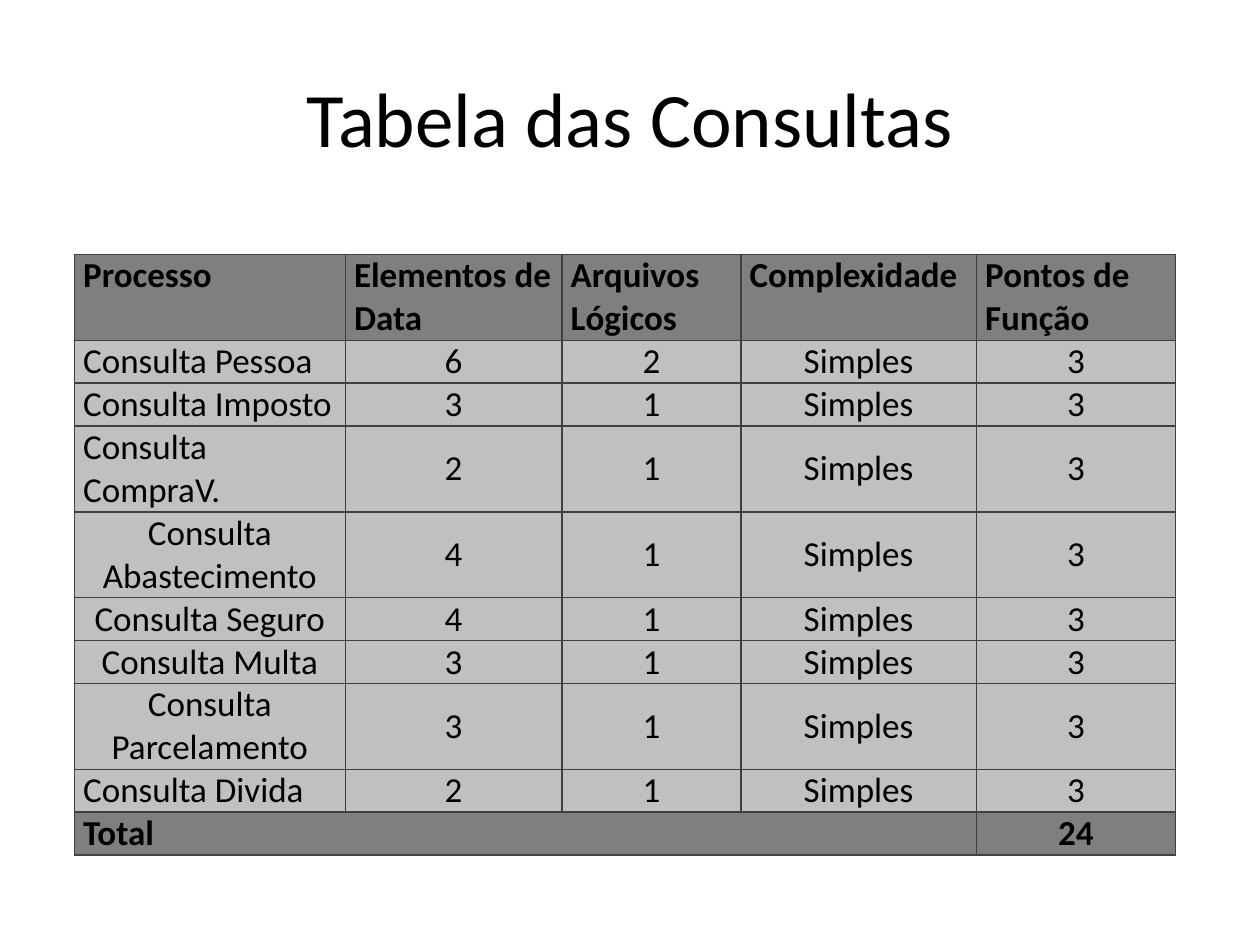
from lxml import etree
from pptx import Presentation
from pptx.dml.color import RGBColor
from pptx.enum.text import MSO_ANCHOR, PP_ALIGN
from pptx.oxml.ns import qn
from pptx.util import Inches, Pt

LEFT, CENTER = PP_ALIGN.LEFT, PP_ALIGN.CENTER
TOP, MIDDLE = MSO_ANCHOR.TOP, MSO_ANCHOR.MIDDLE

BLACK = RGBColor(0x00, 0x00, 0x00)
DARK_GRAY = RGBColor(0x7F, 0x7F, 0x7F)
LIGHT_GRAY = RGBColor(0xC0, 0xC0, 0xC0)
BORDER_GRAY = RGBColor(0x40, 0x40, 0x40)

FONT = "Calibri"
TITLE = "Tabela das Consultas"
HEADERS = ["Processo", "Elementos de Data", "Arquivos Lógicos",
           "Complexidade", "Pontos de Função"]
# Process, data elements, logical files, alignment of the process name
QUERIES = [
    ("Consulta Pessoa", 6, 2, LEFT),
    ("Consulta Imposto", 3, 1, LEFT),
    ("Consulta CompraV.", 2, 1, LEFT),
    ("Consulta Abastecimento", 4, 1, CENTER),
    ("Consulta Seguro", 4, 1, CENTER),
    ("Consulta Multa", 3, 1, CENTER),
    ("Consulta Parcelamento", 3, 1, CENTER),
    ("Consulta Divida", 2, 1, LEFT),
]
COMPLEXITY = "Simples"
POINTS = 3

COLUMN_WIDTHS = [2.15, 1.72, 1.42, 1.87, 1.58]
LINE_HEIGHT = 0.31
TALL_HEIGHT = 0.63
TALL_ROWS = {0, 3, 4, 7}
CELL_MARGINS = {"margin_left": Inches(0.07), "margin_right": Inches(0.07),
                "margin_top": 0, "margin_bottom": 0}


def write_text(para, text, size, align, bold=False):
    para.alignment = align
    span = para.add_run()
    span.text = text
    span.font.color.rgb = BLACK
    font_format = {"name": FONT, "size": Pt(size), "bold": bold}
    for name, value in font_format.items():
        setattr(span.font, name, value)


def add_title(page):
    title = page.shapes.title
    title.left, title.top = Inches(0.5), Inches(0.3)
    title.width, title.height = Inches(9), Inches(1.25)
    title.text_frame.vertical_anchor = MIDDLE
    write_text(title.text_frame.paragraphs[0], TITLE, 44, CENTER)


def add_borders(cell):
    """Line all four sides; call before the fill, which must follow in the XML."""
    properties = cell._tc.get_or_add_tcPr()
    for side in ("lnL", "lnR", "lnT", "lnB"):
        line = etree.SubElement(properties, qn(f"a:{side}"), w=str(Pt(1)))
        fill = etree.SubElement(line, qn("a:solidFill"))
        etree.SubElement(fill, qn("a:srgbClr"), val=str(BORDER_GRAY))


def format_cell(cell, color):
    add_borders(cell)
    cell.fill.solid()
    cell.fill.fore_color.rgb = color
    for name, value in CELL_MARGINS.items():
        setattr(cell, name, value)


def write_cell(cell, text, align=LEFT, bold=False):
    cell.vertical_anchor = MIDDLE if align == CENTER else TOP
    write_text(cell.text_frame.paragraphs[0], str(text), 20, align, bold)


def add_query_table(page):
    heights = [TALL_HEIGHT if row in TALL_ROWS else LINE_HEIGHT
               for row in range(len(QUERIES) + 2)]
    table = page.shapes.add_table(
        len(heights), len(COLUMN_WIDTHS), Inches(0.59), Inches(2.02),
        Inches(sum(COLUMN_WIDTHS)), Inches(sum(heights))).table
    table.first_row = table.horz_banding = False
    for column, width in zip(table.columns, COLUMN_WIDTHS):
        column.width = Inches(width)

    last = len(heights) - 1
    for index, (row, height) in enumerate(zip(table.rows, heights)):
        row.height = Inches(height)
        for cell in row.cells:
            format_cell(cell, DARK_GRAY if index in (0, last) else LIGHT_GRAY)

    for column, header in enumerate(HEADERS):
        write_cell(table.cell(0, column), header, bold=True)
    for row, (process, elements, files, align) in enumerate(QUERIES, start=1):
        write_cell(table.cell(row, 0), process, align)
        values = (elements, files, COMPLEXITY, POINTS)
        for column, value in enumerate(values, start=1):
            write_cell(table.cell(row, column), value, CENTER)

    table.cell(last, 0).merge(table.cell(last, 3))
    write_cell(table.cell(last, 0), "Total", bold=True)
    write_cell(table.cell(last, 4), POINTS * len(QUERIES), CENTER, bold=True)


def main():
    deck = Presentation()
    deck.slide_width, deck.slide_height = Inches(10), Inches(7.5)
    page = deck.slides.add_slide(deck.slide_layouts.get_by_name("Title Only"))
    add_title(page)
    add_query_table(page)
    deck.save("out.pptx")


if __name__ == "__main__":
    main()
